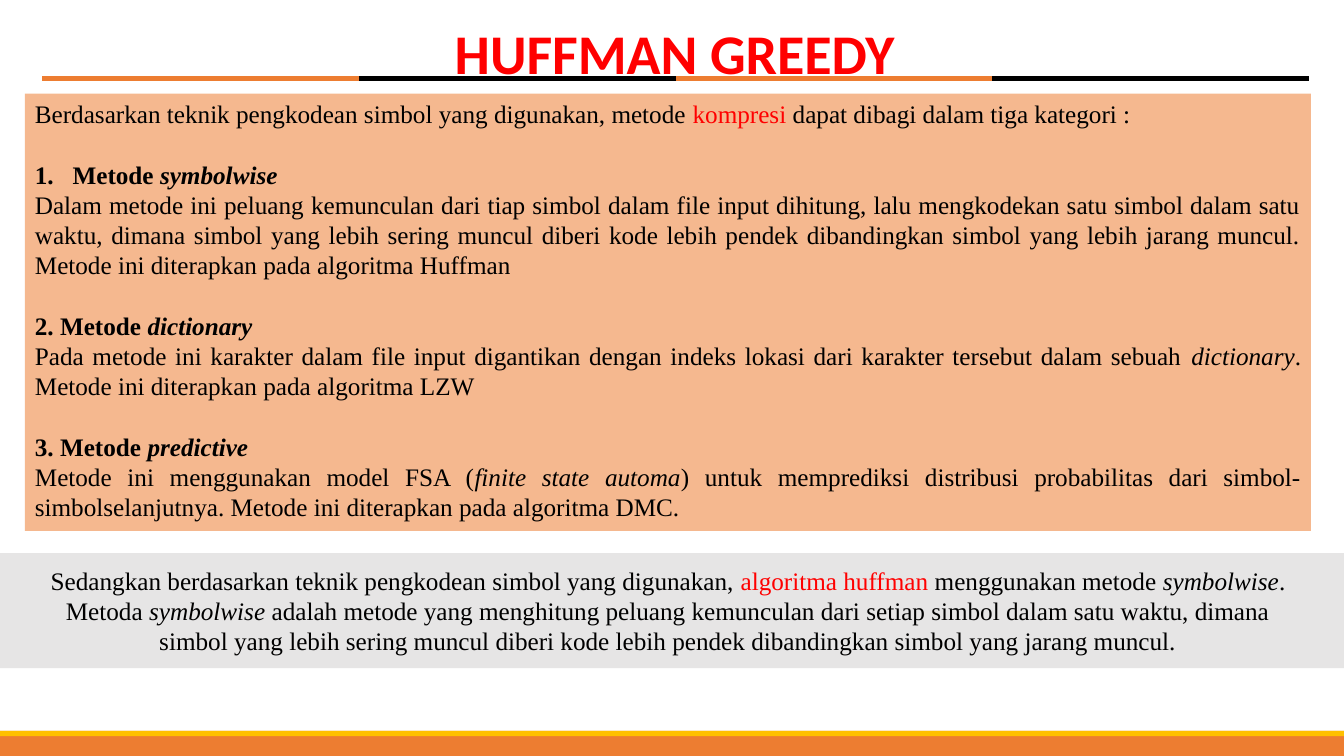
"""Builds the HUFFMAN GREEDY slide about compression methods."""
from lxml.etree import SubElement
from pptx import Presentation
from pptx.dml.color import RGBColor
from pptx.enum.shapes import MSO_CONNECTOR, MSO_SHAPE
from pptx.enum.text import MSO_ANCHOR, MSO_AUTO_SIZE, PP_ALIGN
from pptx.oxml.ns import qn
from pptx.util import Cm, Pt

ORANGE, GOLD, GREY = "ED7D31", "FFC000", "AEABAB"
BLACK, RED = "000000", "FF0000"

INTRODUCTION = [
    ("Berdasarkan teknik pengkodean simbol yang digunakan, metode ", ""),
    ("kompresi", "red"),
    (" dapat dibagi dalam tiga kategori :", ""),
]
METHODS = [
    ("Metode ", "symbolwise", [
        ("Dalam metode ini peluang kemunculan dari tiap simbol dalam file input dihitung, "
         "lalu mengkodekan satu simbol dalam satu waktu, dimana simbol yang lebih sering "
         "muncul diberi kode lebih pendek dibandingkan simbol yang lebih jarang muncul. "
         "Metode ini diterapkan pada algoritma Huffman", ""),
    ]),
    ("2. Metode ", "dictionary", [
        ("Pada metode ini karakter dalam file input digantikan dengan indeks lokasi dari "
         "karakter tersebut dalam sebuah ", ""),
        ("dictionary", "italic"),
        (". Metode ini diterapkan pada algoritma LZW", ""),
    ]),
    ("3. Metode ", "predictive", [
        ("Metode ini menggunakan model FSA (", ""),
        ("finite state automa", "italic"),
        (") untuk memprediksi distribusi probabilitas dari simbol-simbolselanjutnya. "
         "Metode ini diterapkan pada algoritma DMC.", ""),
    ]),
]
CONCLUSION = [
    ("Sedangkan berdasarkan teknik pengkodean simbol yang digunakan, ", ""),
    ("algoritma huffman ", "red"),
    ("menggunakan metode ", ""),
    ("symbolwise", "italic"),
    (". Metoda ", ""),
    ("symbolwise ", "italic"),
    ("adalah metode yang menghitung peluang kemunculan dari setiap simbol dalam satu waktu, "
     "dimana simbol yang lebih sering muncul diberi kode lebih pendek dibandingkan simbol "
     "yang jarang muncul.", ""),
]


def color(value):
    return RGBColor.from_string(value)


class SlideBuilder:
    """Holds the text style and the current slide."""

    font_name = "Times New Roman"
    font_size = 18
    line_height = 21.6

    def __init__(self, slide):
        self.slide = slide

    def rectangle(self, left, top, width, height, fill, opacity=100):
        shape = self.slide.shapes.add_shape(
            MSO_SHAPE.RECTANGLE, Cm(left), Cm(top), Cm(width), Cm(height))
        shape.shadow.inherit = False
        shape.fill.solid()
        shape.fill.fore_color.rgb = color(fill)
        shape.line.fill.background()
        if opacity < 100:
            fill_color = shape.fill._xPr.find(qn("a:solidFill"))[0]
            SubElement(fill_color, qn("a:alpha"), val=str(opacity * 1000))
        return shape

    def rule(self, left, top, width, line_color):
        connector = self.slide.shapes.add_connector(
            MSO_CONNECTOR.STRAIGHT, Cm(left), Cm(top), Cm(left + width), Cm(top))
        connector.line.color.rgb = color(line_color)
        connector.line.width = Pt(3)
        SubElement(connector._element.spPr, qn("a:effectLst"))

    def text_box(self, left, top, width, height):
        shape = self.slide.shapes.add_textbox(Cm(left), Cm(top), Cm(width), Cm(height))
        return self.text_frame(shape)

    def text_frame(self, shape):
        frame = shape.text_frame
        frame.word_wrap = True
        frame.auto_size = MSO_AUTO_SIZE.SHAPE_TO_FIT_TEXT
        frame.vertical_anchor = MSO_ANCHOR.TOP
        return frame

    def paragraph(self, frame, runs, alignment, name=font_name, size=font_size,
                  text_color=BLACK, bold=False):
        paragraph = frame.paragraphs[0]
        if paragraph.runs:
            paragraph = frame.add_paragraph()
        paragraph.alignment = alignment
        paragraph.font.name = name
        paragraph.font.size = Pt(size)
        paragraph.font.bold = bold
        paragraph.font.color.rgb = color(text_color)
        for text, emphasis in runs:
            run = paragraph.add_run()
            run.text = text
            if emphasis == "italic":
                run.font.italic = True
            run.font.color.rgb = color(RED if emphasis == "red" else text_color)
        return paragraph

    def heading(self, frame, label, method, numbered):
        paragraph = self.paragraph(
            frame, [(label, ""), (method, "italic")], PP_ALIGN.JUSTIFY, bold=True)
        paragraph.space_before = Pt(self.line_height)
        if numbered:
            properties = paragraph._p.get_or_add_pPr()
            indent = Cm(0.95)
            properties.set("marL", str(indent))
            properties.set("indent", str(-indent))
            numbering = properties.makeelement(
                qn("a:buAutoNum"), {"type": "arabicPeriod"})
            properties.find(qn("a:defRPr")).addprevious(numbering)


def main():
    presentation = Presentation()
    presentation.slide_width, presentation.slide_height = Cm(33.87), Cm(19.05)
    builder = SlideBuilder(presentation.slides.add_slide(presentation.slide_layouts[6]))

    builder.rectangle(0, 13.94, 33.87, 2.9, GREY, opacity=30)
    rule_width = 7.98
    for index in range(4):
        builder.rule(1.07 + index * rule_width, 1.98, rule_width, (ORANGE, BLACK)[index % 2])
    for height, fill in ((0.71, ORANGE), (0.13, GOLD)):
        builder.rectangle(0, 18.42, 33.87, height, fill)

    title = builder.text_box(3.25, 0.33, 27.51, 1.96)
    builder.paragraph(title, [("HUFFMAN GREEDY", "")], PP_ALIGN.CENTER,
                      name="Calibri", size=40, text_color=RED, bold=True)

    panel = builder.rectangle(0.63, 2.36, 32.41, 11.02, ORANGE, opacity=54)
    methods = builder.text_frame(panel)
    builder.paragraph(methods, INTRODUCTION, PP_ALIGN.JUSTIFY)
    for index, (label, method, description) in enumerate(METHODS):
        builder.heading(methods, label, method, numbered=index == 0)
        builder.paragraph(methods, description, PP_ALIGN.JUSTIFY)

    conclusion = builder.text_box(0.63, 14.12, 32.41, 2.57)
    builder.paragraph(conclusion, CONCLUSION, PP_ALIGN.CENTER)

    presentation.save("out.pptx")


if __name__ == "__main__":
    main()
